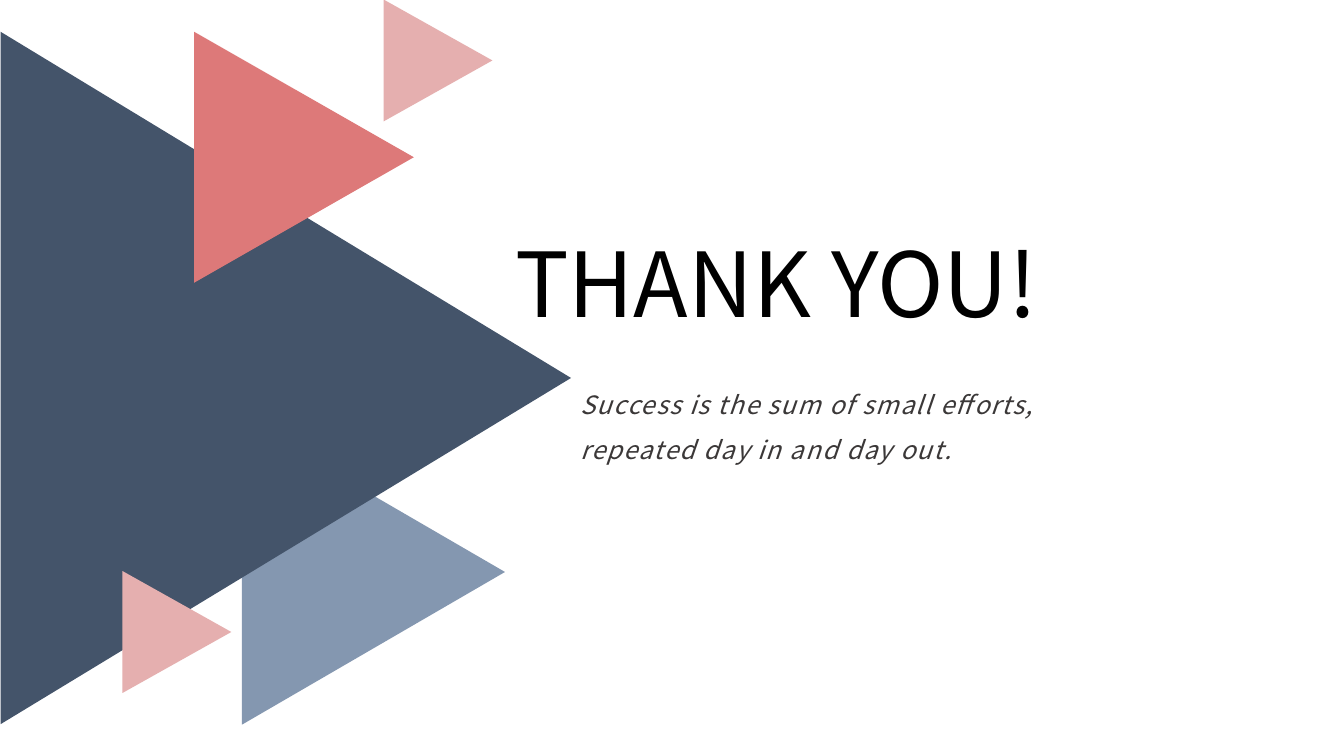
from pptx import Presentation
from pptx.dml.color import RGBColor
from pptx.enum import shapes, text
from pptx.util import Pt

TITLE = "THANK YOU!"
QUOTE = ["Success is the sum of small efforts,", "repeated day in and day out."]
FONT = "Noto Sans CJK SC"
COLORS = {
    "steel": "8497B0", "navy": "44546A", "coral": "DD7979", "pink": "E5AFAF",
    "title": "000000", "quote": "3B3838",
}
# color, left, top, base, height before the quarter turn, back to front
TRIANGLES = [
    ("steel", 157.68, 314.64, 218.16, 187.92),
    ("navy", -43.2, 66.24, 494.64, 407.52),
    ("coral", 127.44, 33.84, 179.28, 156.96),
    ("pink", 269.28, 4.32, 87.12, 77.76),
    ("pink", 82.8, 412.56, 87.12, 77.76),
]
TITLE_BOX = (360.72, 159.12, 418.32, 84.96)
QUOTE_BOX = (414.72, 268.56, 364.32, 61.92)


def rgb(name):
    return RGBColor.from_string(COLORS[name])


def add_triangle(group, color, *box):
    sp = group.shapes.add_shape(
        shapes.MSO_SHAPE.ISOSCELES_TRIANGLE, *map(Pt, box))
    sp.rotation = 90
    sp.shadow.inherit = False
    sp.fill.solid()
    sp.fill.fore_color.rgb = rgb(color)
    sp.line.fill.background()


def fill_placeholder(sp, lines, box, size, color, anchor):
    """Place, fill and format a placeholder, and bring it to the front."""
    sp.left, sp.top, sp.width, sp.height = map(Pt, box)
    tf = sp.text_frame
    tf.text = "\n".join(lines)
    tf.vertical_anchor = anchor
    tf.auto_size = text.MSO_AUTO_SIZE.NONE
    for p in tf.paragraphs:
        p.alignment = text.PP_ALIGN.LEFT
        p.space_before = Pt(0)
        for r in p.runs:
            r.font.name = FONT
            r.font.size = Pt(size)
            r.font.color.rgb = rgb(color)
    tree = sp._element.getparent()
    tree.append(sp._element)
    return tf


prs = Presentation()
prs.slide_width, prs.slide_height = Pt(960), Pt(540)
s = prs.slides.add_slide(prs.slide_layouts[0])

group = s.shapes.add_group_shape()
for triangle in TRIANGLES:
    add_triangle(group, *triangle)

title, quote = s.shapes.title, s.placeholders[1]
tf = fill_placeholder(title, [TITLE], TITLE_BOX, 64, "title",
                      text.MSO_ANCHOR.TOP)
tf.word_wrap = False

tf = fill_placeholder(quote, QUOTE, QUOTE_BOX, 18, "quote",
                      text.MSO_ANCHOR.MIDDLE)
tf.margin_left = tf.margin_top = tf.margin_right = tf.margin_bottom = 0
for p in tf.paragraphs:
    p.line_spacing = 1.5
    for r in p.runs:
        r.font.italic = True
        r._r.get_or_add_rPr().set("spc", "100")

prs.save("out.pptx")
